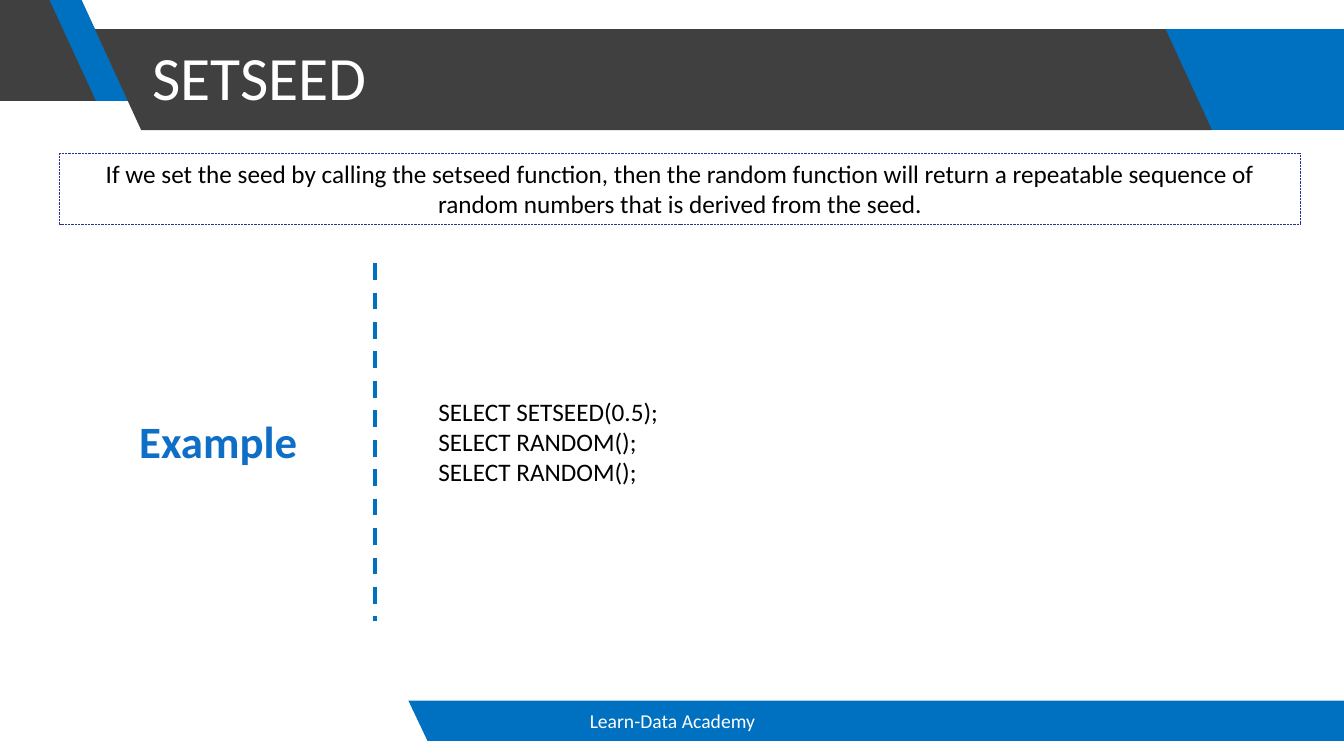
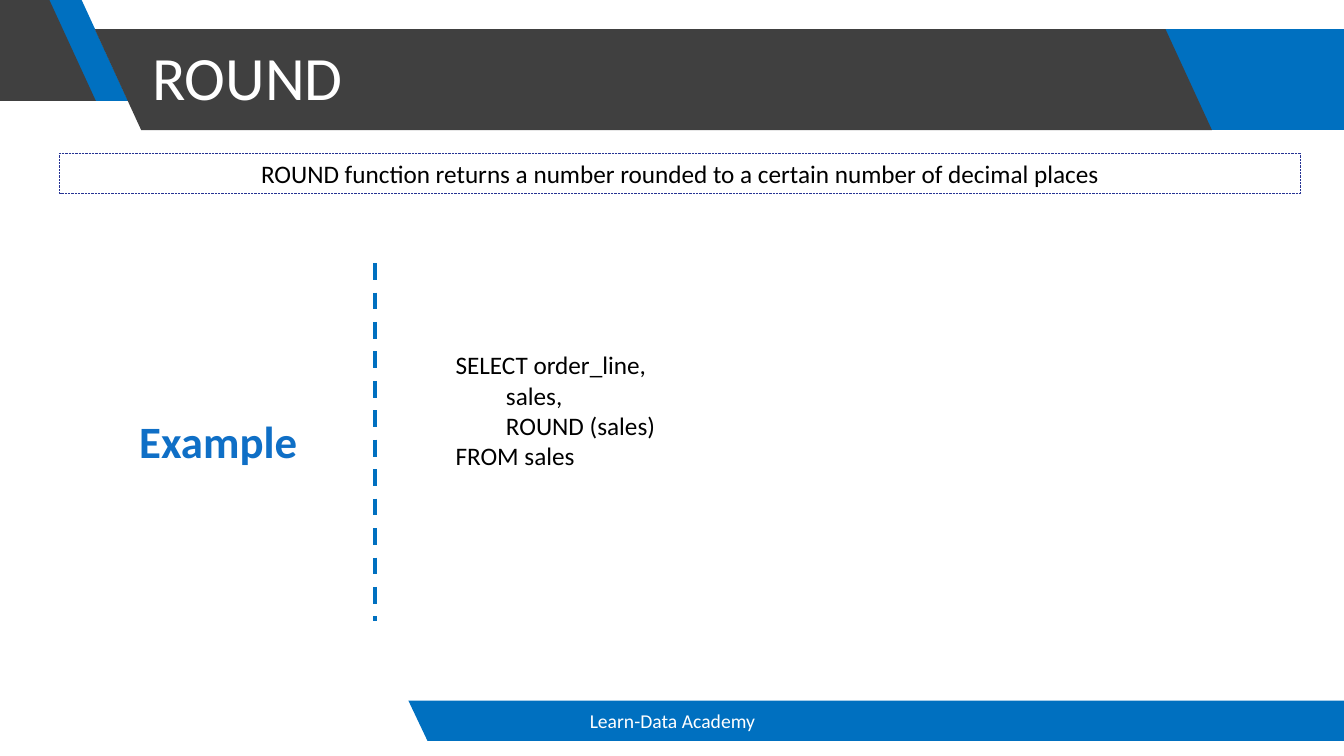
from lxml import etree
from pptx import Presentation
from pptx.dml.color import RGBColor
from pptx.enum.dml import MSO_LINE
from pptx.enum.shapes import MSO_CONNECTOR, MSO_SHAPE
from pptx.enum.text import MSO_ANCHOR, MSO_AUTO_SIZE, PP_ALIGN
from pptx.oxml.ns import qn
from pptx.util import Pt

PX = 9144
WIDTH, HEIGHT = 1333, 750
FONT = "Calibri"
FOOTER = "Learn-Data Academy"

BLUE = RGBColor(0x00, 0x70, 0xC0)
DARK = RGBColor(0x40, 0x40, 0x40)
NAVY = RGBColor(0x26, 0x33, 0x93)
ACCENT = RGBColor(0x0F, 0x6F, 0xC6)
BLACK = RGBColor(0, 0, 0)
WHITE = RGBColor(255, 255, 255)

LEFT, CENTER = PP_ALIGN.LEFT, PP_ALIGN.CENTER
TOP, MIDDLE = MSO_ANCHOR.TOP, MSO_ANCHOR.MIDDLE
DOTTED, DASHED = MSO_LINE.ROUND_DOT, MSO_LINE.DASH
RECTANGLE = MSO_SHAPE.RECTANGLE
STRAIGHT = MSO_CONNECTOR.STRAIGHT
FIT_SHAPE = MSO_AUTO_SIZE.SHAPE_TO_FIT_TEXT

BANDS = [
    (BLUE, [(1068, 29), (WIDTH, 29), (WIDTH, 129), (1068, 129)]),
    (BLUE, [(34, 0), (81, 0), (127, 100), (81, 100)]),
    (DARK, [(0, 0), (49, 0), (95, 100), (0, 100)]),
    (DARK, [(94, 29), (1156, 29), (1202, 129), (140, 129)]),
    (BLUE, [(405, 695), (WIDTH, 695), (WIDTH, 735), (424, 735)]),
]

SLIDES = [
    {
        "title": "SETSEED",
        "description": "If we set the seed by calling the setseed function, "
                       "then the random function will return a repeatable "
                       "sequence of random numbers that is derived from the seed.",
        "description_height": 71,
        "code": ["SELECT SETSEED(0.5);", "SELECT RANDOM();", "SELECT RANDOM();"],
        "code_at": (425, 388),
    },
    {
        "title": "ROUND",
        "description": "ROUND function returns a number rounded to a certain "
                       "number of decimal places",
        "description_height": 40,
        "code": ["SELECT order_line,", "\tsales,", "\tROUND (sales)", "FROM sales"],
        "code_at": (442, 342),
    },
]


class Deck:
    def __init__(self):
        self.presentation = Presentation()
        self.presentation.slide_width = WIDTH * PX
        self.presentation.slide_height = HEIGHT * PX
        self.slide = None

    def new_slide(self, title):
        layout = self.presentation.slide_layouts[6]
        self.slide = self.presentation.slides.add_slide(layout)
        for color, points in BANDS:
            self.band(color, points)
        heading = self.text((141, 7, 1014, 145), [title], 44, WHITE, anchor=MIDDLE)
        heading.text_frame.paragraphs[0].line_spacing = 0.9
        self.text((442, 695, 450, 40), [FOOTER], 14, WHITE, CENTER, MIDDLE)

    def band(self, color, points):
        builder = self.slide.shapes.build_freeform(*points[0], scale=PX)
        builder.add_line_segments(points[1:], close=True)
        shape = builder.convert_to_shape()
        shape.shadow.inherit = False
        shape.fill.solid()
        shape.fill.fore_color.rgb = color
        shape.line.fill.background()

    def fill_text(self, shape, lines, size, color, align, anchor, bold=False):
        frame = shape.text_frame
        frame.word_wrap = True
        frame.vertical_anchor = anchor
        for index, line in enumerate(lines):
            paragraph = frame.add_paragraph() if index else frame.paragraphs[0]
            paragraph.alignment = align
            run = paragraph.add_run()
            run.text = line
            run.font.name = FONT
            run.font.size = Pt(size)
            run.font.bold = bold
            run.font.color.rgb = color

    def text(self, box, lines, size, color, align=LEFT, anchor=TOP, bold=False):
        shape = self.slide.shapes.add_textbox(*(value * PX for value in box))
        self.fill_text(shape, lines, size, color, align, anchor, bold)
        return shape

    def description(self, text, height):
        box = (59, 152, 1231, height)
        shape = self.slide.shapes.add_shape(RECTANGLE, *(value * PX for value in box))
        shape.shadow.inherit = False
        shape.fill.background()
        self.style_line(shape.line, NAVY, 0.5, DOTTED)
        self.fill_text(shape, [text], 18, BLACK, CENTER, TOP)
        shape.text_frame.auto_size = FIT_SHAPE

    def style_line(self, line, color, width, dash):
        line.color.rgb = color
        line.width = Pt(width)
        line.dash_style = dash

    def divider(self, x, top, bottom):
        ends = (x * PX, top * PX, x * PX, bottom * PX)
        connector = self.slide.shapes.add_connector(STRAIGHT, *ends)
        self.style_line(connector.line, BLUE, 3, DASHED)
        etree.SubElement(connector._element.spPr, qn("a:effectLst"))

    def example(self, code, left, top):
        self.divider(372, 261, 616)
        self.text((left, top, 826, 30 * len(code) + 11), code, 18, BLACK)
        self.text((46, 406, 341, 64), ["Example"], 32, ACCENT, CENTER, bold=True)


def main():
    deck = Deck()
    for content in SLIDES:
        deck.new_slide(content["title"])
        deck.description(content["description"], content["description_height"])
        deck.example(content["code"], *content["code_at"])
    deck.presentation.save("out.pptx")


if __name__ == "__main__":
    main()
